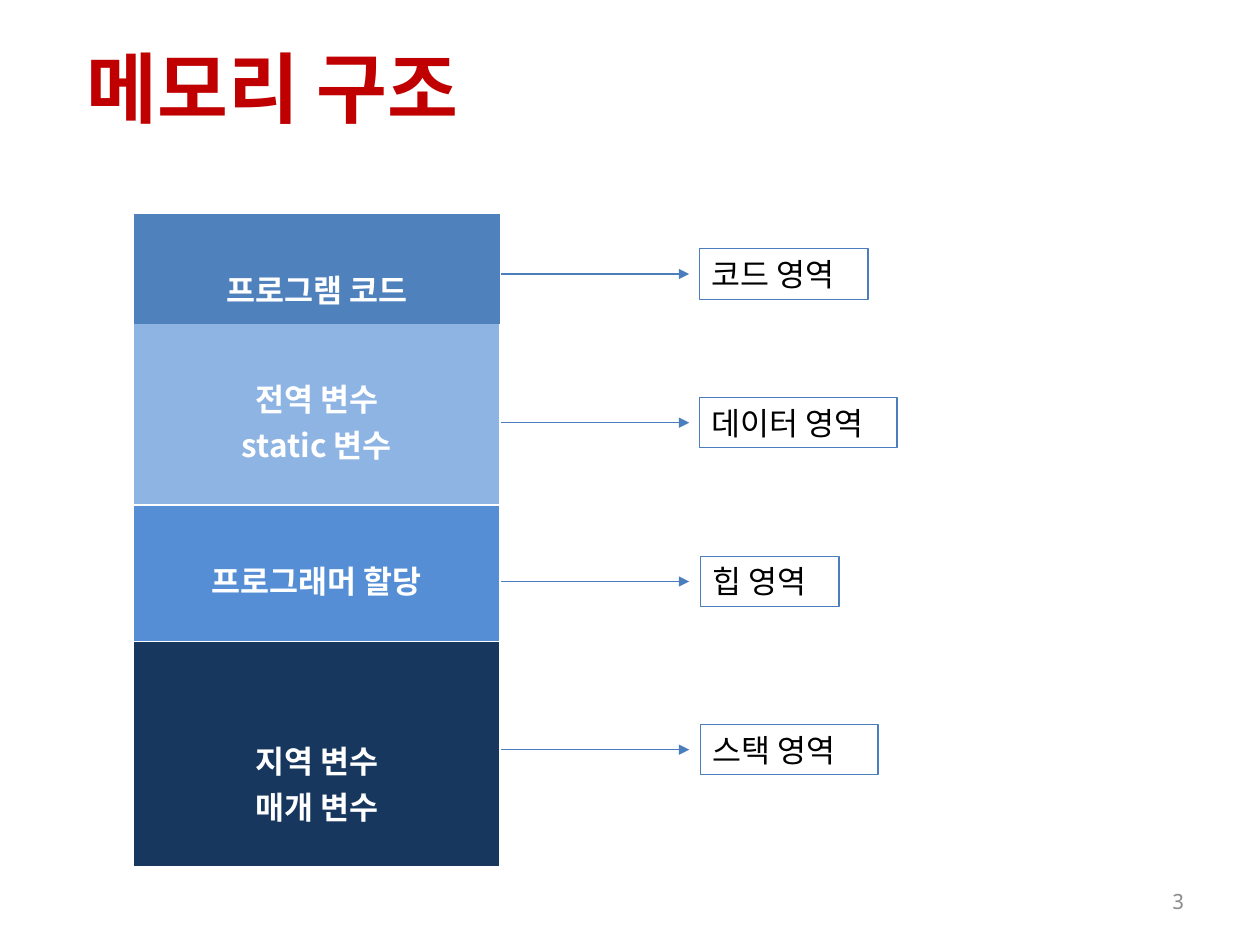
import pptx
import pptx.util
import pptx.dml.color
import pptx.enum.shapes
import pptx.enum.text
import pptx.oxml
import pptx.oxml.ns
from lxml import etree

RGBColor = pptx.dml.color.RGBColor
ALIGN = pptx.enum.text.PP_ALIGN
ANCHOR = pptx.enum.text.MSO_ANCHOR
RED = RGBColor(0xC0, 0x00, 0x00)
GRAY = RGBColor(0x8C, 0x8C, 0x8C)
BLACK = RGBColor(0x00, 0x00, 0x00)
WHITE = RGBColor(0xFF, 0xFF, 0xFF)
OUTLINE = RGBColor(0x4B, 0x7E, 0xBC)
CODE_BLUE = RGBColor(0x4F, 0x81, 0xBD)
DATA_BLUE = RGBColor(0x8E, 0xB4, 0xE3)
HEAP_BLUE = RGBColor(0x55, 0x8E, 0xD5)
STACK_BLUE = RGBColor(0x17, 0x37, 0x5E)
KOREAN = "Noto Sans CJK KR"
MONO = "Noto Sans Mono"

presentation = pptx.Presentation()
presentation.slide_width = pptx.util.Inches(10)
presentation.slide_height = pptx.util.Inches(7.5)
slide = presentation.slides.add_slide(presentation.slide_layouts[6])
shapes = slide.shapes

# Grid of 100 columns by 75 rows
COLUMN = presentation.slide_width / 100
ROW = presentation.slide_height / 75


def grid(left, top, width, height):
    return [round(left * COLUMN), round(top * ROW),
            round(width * COLUMN), round(height * ROW)]


def add_run(paragraph, text, size, color, font=KOREAN, bold=False):
    run = paragraph.add_run()
    run.text = text
    run.font.size = pptx.util.Pt(size)
    run.font.color.rgb = color
    run.font.bold = bold
    run.font.name = font
    east_asian = etree.SubElement(run.font._element, pptx.oxml.ns.qn("a:ea"))
    east_asian.set("typeface", font)


# Title and page number
for box, anchor_align, text, size, color, font, bold in [
    (grid(5.9, 0.6, 78, 12.5), ALIGN.LEFT, "메모리 구조", 44, RED, KOREAN, True),
    (grid(71.7, 69.5, 23.3, 4), ALIGN.RIGHT, "3", 12, GRAY, MONO, False),
]:
    frame = shapes.add_textbox(*box).text_frame
    frame.word_wrap = True
    frame.vertical_anchor = ANCHOR.MIDDLE
    frame.paragraphs[0].alignment = anchor_align
    add_run(frame.paragraphs[0], text, size, color, font, bold)

# Memory regions: height, fill, text offset, contents, label, label middle, left, width
regions = [
    (8.7, CODE_BLUE, 4.1, ["프로그램 코드"], "코드 영역", 21.75, 55.5, 13.4),
    (14.4, DATA_BLUE, 4.1, ["전역 변수", "static 변수"], "데이터 영역", 33.55, 55.5, 15.7),
    (10.8, HEAP_BLUE, 4.1, ["프로그래머 할당"], "힙 영역", 46.15, 55.6, 11),
    (17.9, STACK_BLUE, 7.6, ["지역 변수", "매개 변수"], "스택 영역", 59.5, 55.6, 14.1),
]

# Memory table
total_height = sum(region[0] for region in regions)
table = shapes.add_table(len(regions), 1, *grid(10.6, 17, 29.1, total_height)).table
table.first_row = False
table.horz_banding = False
for index, (height, fill, offset, contents, *_) in enumerate(regions):
    table.rows[index].height = round(height * ROW)
    cell = table.cell(index, 0)
    cell.margin_top = round(offset * ROW)
    properties = cell._tc.get_or_add_tcPr()
    for side in ("lnL", "lnR", "lnT", "lnB"):
        border = etree.SubElement(properties, pptx.oxml.ns.qn("a:" + side), w="12700")
        if index == 0 or (index == 1 and side == "lnT"):
            etree.SubElement(border, pptx.oxml.ns.qn("a:noFill"))
        else:
            solid = etree.SubElement(border, pptx.oxml.ns.qn("a:solidFill"))
            etree.SubElement(solid, pptx.oxml.ns.qn("a:srgbClr"), val=str(WHITE))
    cell.fill.solid()
    cell.fill.fore_color.rgb = fill
    frame = cell.text_frame
    for number, line in enumerate(contents):
        paragraph = frame.add_paragraph() if number else frame.paragraphs[0]
        paragraph.alignment = ALIGN.CENTER
        add_run(paragraph, line, 18, WHITE, bold=True)

# Arrows and region labels
for *_, label, middle, left, width in regions:
    y = round(middle * ROW)
    arrow = shapes.add_connector(pptx.enum.shapes.MSO_CONNECTOR.STRAIGHT,
                                 round(39.8 * COLUMN), y, round(54.7 * COLUMN), y)
    arrow.line.color.rgb = OUTLINE
    arrow.line.width = pptx.util.Pt(0.75)
    etree.SubElement(arrow.line._get_or_add_ln(), pptx.oxml.ns.qn("a:tailEnd"), type="triangle")
    etree.SubElement(arrow._element.spPr, pptx.oxml.ns.qn("a:effectLst"))

    box = shapes.add_shape(pptx.enum.shapes.MSO_SHAPE.RECTANGLE,
                           *grid(left, middle - 2, width, 4))
    box.shadow.inherit = False
    box.fill.background()
    box.line.color.rgb = OUTLINE
    box.line.width = pptx.util.Pt(0.75)
    frame = box.text_frame
    frame.word_wrap = True
    frame.auto_size = pptx.enum.text.MSO_AUTO_SIZE.SHAPE_TO_FIT_TEXT
    frame.vertical_anchor = ANCHOR.TOP
    frame.paragraphs[0].alignment = ALIGN.LEFT
    add_run(frame.paragraphs[0], label, 18, BLACK)

presentation.save("out.pptx")
